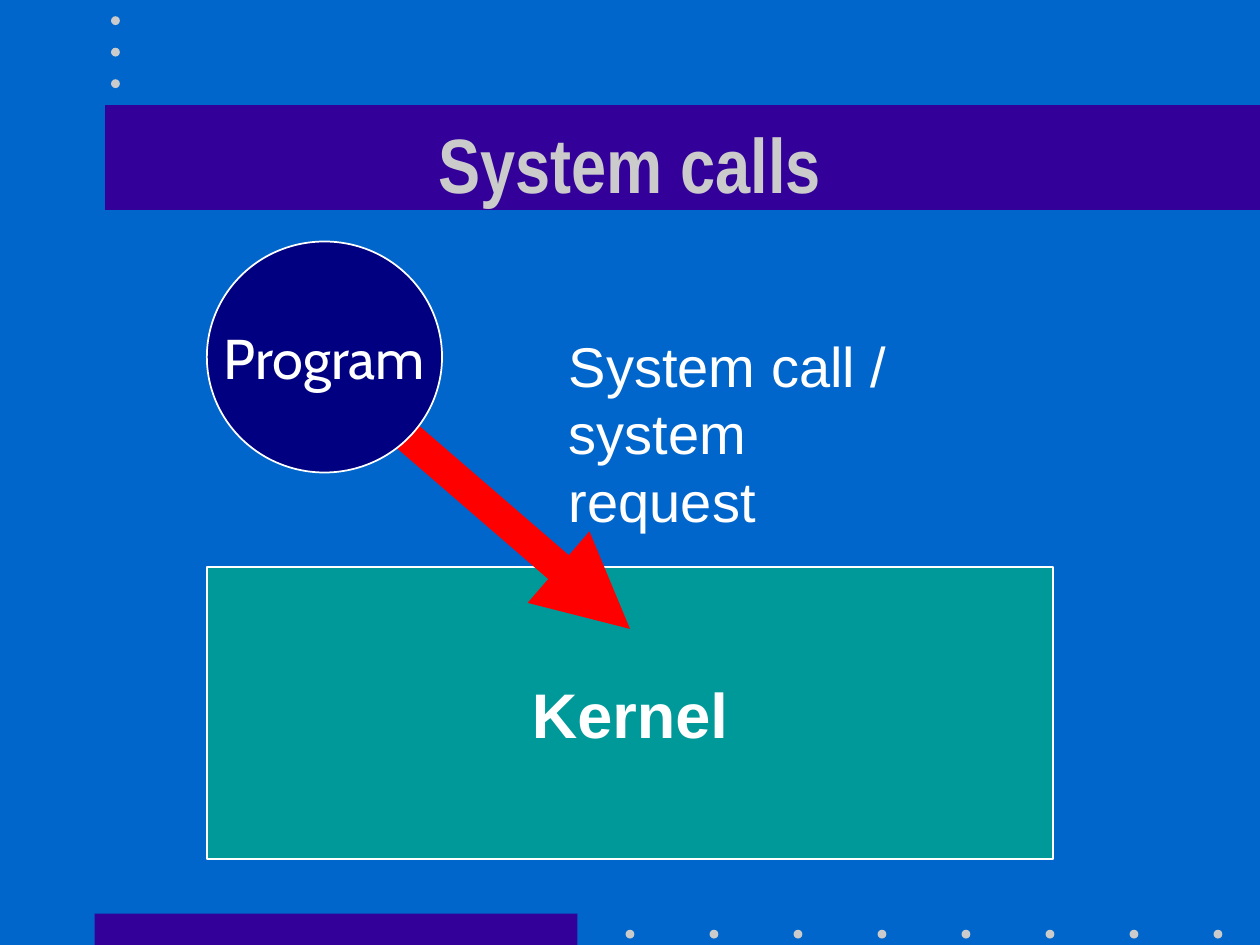
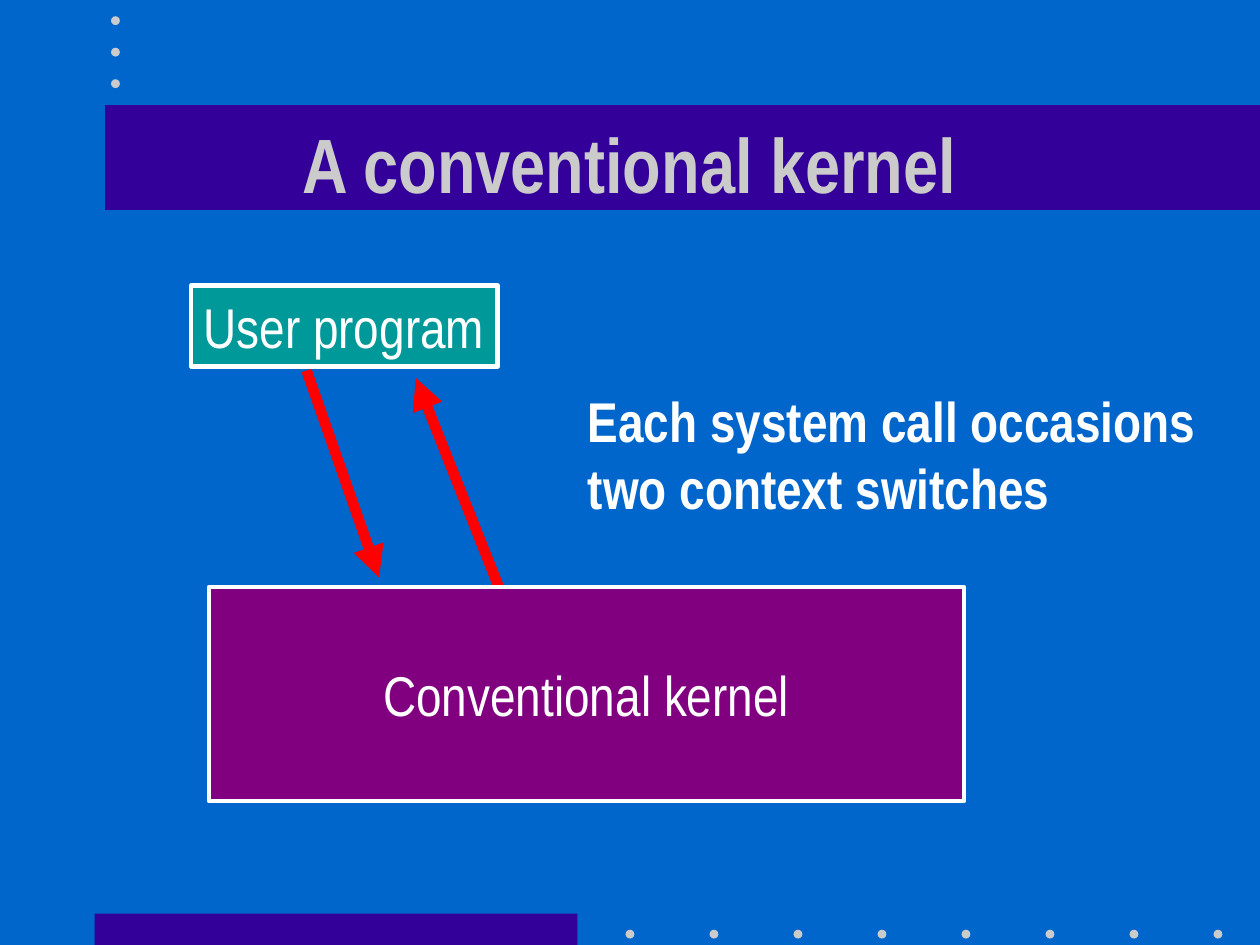
from collections import namedtuple

from lxml.etree import SubElement
from pptx import Presentation
from pptx.dml.color import RGBColor
from pptx.enum.shapes import MSO_CONNECTOR, MSO_SHAPE
from pptx.enum.text import MSO_ANCHOR, PP_ALIGN
from pptx.oxml.ns import qn
from pptx.util import Inches, Pt

BLUE, INDIGO, NAVY = "0066CC", "330099", "000080"
TEAL, PURPLE, RED = "009999", "800080", "FF0000"
GREY, WHITE = "CBCBCB", "FFFFFF"
NARROW = "Arial Narrow"

# The slide is a grid of 120 columns and 90 rows; boxes are given in cells.
COLS, ROWS = 120, 90
CELL = Inches(10) // COLS
Box = namedtuple("Box", "x y w h")
PAGE = Box(0, 0, COLS, ROWS)
BODY = Box(18, 22, 102, 62)
DOT = 0.84


def rgb(color):
    return RGBColor.from_string(color)


def inside(box, x, y, w, h):
    """Box at x, y counted from the corner of the given box."""
    return Box(box.x + x, box.y + y, w, h)


def emu(box):
    return [round(v * CELL) for v in box]


def write(shape, text, size=32, font=NARROW, color=WHITE, bold=False,
          align=PP_ALIGN.CENTER, anchor=MSO_ANCHOR.MIDDLE, wrap=False):
    """Fill a shape with text: \\n starts a paragraph, \\v breaks a line."""
    tf = shape.text_frame
    tf.word_wrap = wrap
    tf.vertical_anchor = anchor
    tf.text = text
    for p in tf.paragraphs:
        p.alignment = align
        for r in p.runs:
            r.font.size, r.font.name, r.font.bold = Pt(size), font, bold
            r.font.color.rgb = rgb(color)


def add_text(s, box, text, **style):
    write(s.shapes.add_textbox(*emu(box)), text, **style)


def add_note(s, box, text, **style):
    add_text(s, box, text, align=PP_ALIGN.LEFT, anchor=MSO_ANCHOR.TOP, **style)


def add_shape(s, kind, box, fill, line_width=0, text="", **style):
    shape = s.shapes.add_shape(kind, *emu(box))
    shape.shadow.inherit = False
    shape.fill.solid()
    shape.fill.fore_color.rgb = rgb(fill)
    if line_width:
        shape.line.color.rgb = rgb(WHITE)
        shape.line.width = Pt(line_width)
    else:
        shape.line.fill.background()
    if text:
        write(shape, text, **style)


def add_arrow(s, box, start, end, width):
    """Red arrow between two points counted from the corner of the box."""
    points = [round(v * CELL) for x, y in (start, end)
              for v in (box.x + x, box.y + y)]
    line = s.shapes.add_connector(MSO_CONNECTOR.STRAIGHT, *points)
    line.line.color.rgb = rgb(RED)
    line.line.width = Pt(width)
    SubElement(line.line._get_or_add_ln(), qn("a:tailEnd"), type="triangle")
    SubElement(line._element.spPr, qn("a:effectLst"))


def add_dots(s, box, count, dx=0, dy=0):
    for i in range(count):
        dot = inside(box, i * dx, i * dy, DOT, DOT)
        add_shape(s, MSO_SHAPE.OVAL, dot, GREY)


def add_frame(s, box, title):
    """Bands, dots and title that every slide carries."""
    add_shape(s, MSO_SHAPE.RECTANGLE, inside(box, 9, 87, 46, 3), INDIGO)
    add_dots(s, inside(box, 59.58, 88.55, DOT, DOT), 8, dx=8)
    add_shape(s, MSO_SHAPE.RECTANGLE, inside(box, 10, 10, 110, 10), INDIGO)
    add_dots(s, inside(box, 10.58, 1.55, DOT, DOT), 3, dy=3)
    add_text(s, inside(box, 9, 8, 102, 15), title, size=44, color=GREY,
             bold=True, wrap=True)


def add_system_call(s, box):
    add_shape(s, MSO_SHAPE.RECTANGLE, inside(box, 1.7, 32, 80.6, 27.8), TEAL, 1,
              "Kernel", size=36, font="Arial", bold=True)
    add_arrow(s, box, (19.1, 18.1), (42, 37.9), 18)
    add_shape(s, MSO_SHAPE.OVAL, inside(box, 1.7, 1, 22.4, 22), NAVY, 1,
              "Program", font="Cabin")
    add_note(s, inside(box, 35, 9, 38.5, 14), "System call /\vsystem request",
             font="Arial")


def add_context_switches(s, box):
    add_arrow(s, box, (11.2, 13.3), (18.1, 33), 6)
    add_shape(s, MSO_SHAPE.RECTANGLE, inside(box, 0.2, 5.2, 29.2, 7.7), TEAL,
              2.5, "User program", align=PP_ALIGN.LEFT)
    add_arrow(s, box, (29.5, 33.9), (21.6, 14), 6)
    add_shape(s, MSO_SHAPE.RECTANGLE, inside(box, 1.9, 33.9, 71.9, 20.4),
              PURPLE, 2.5, "Conventional kernel", wrap=True)
    add_note(s, inside(box, 36.8, 14.2, 60.4, 14),
             "Each system call occasions\ntwo context switches", bold=True)


def main():
    prs = Presentation()
    prs.slide_width, prs.slide_height = COLS * CELL, ROWS * CELL
    background = prs.slide_master.background.fill
    background.solid()
    background.fore_color.rgb = rgb(BLUE)
    for title, add_diagram in (("System calls", add_system_call),
                               ("A conventional kernel", add_context_switches)):
        s = prs.slides.add_slide(prs.slide_layouts[6])
        add_frame(s, PAGE, title)
        add_diagram(s, BODY)
    prs.save("out.pptx")


if __name__ == "__main__":
    main()
